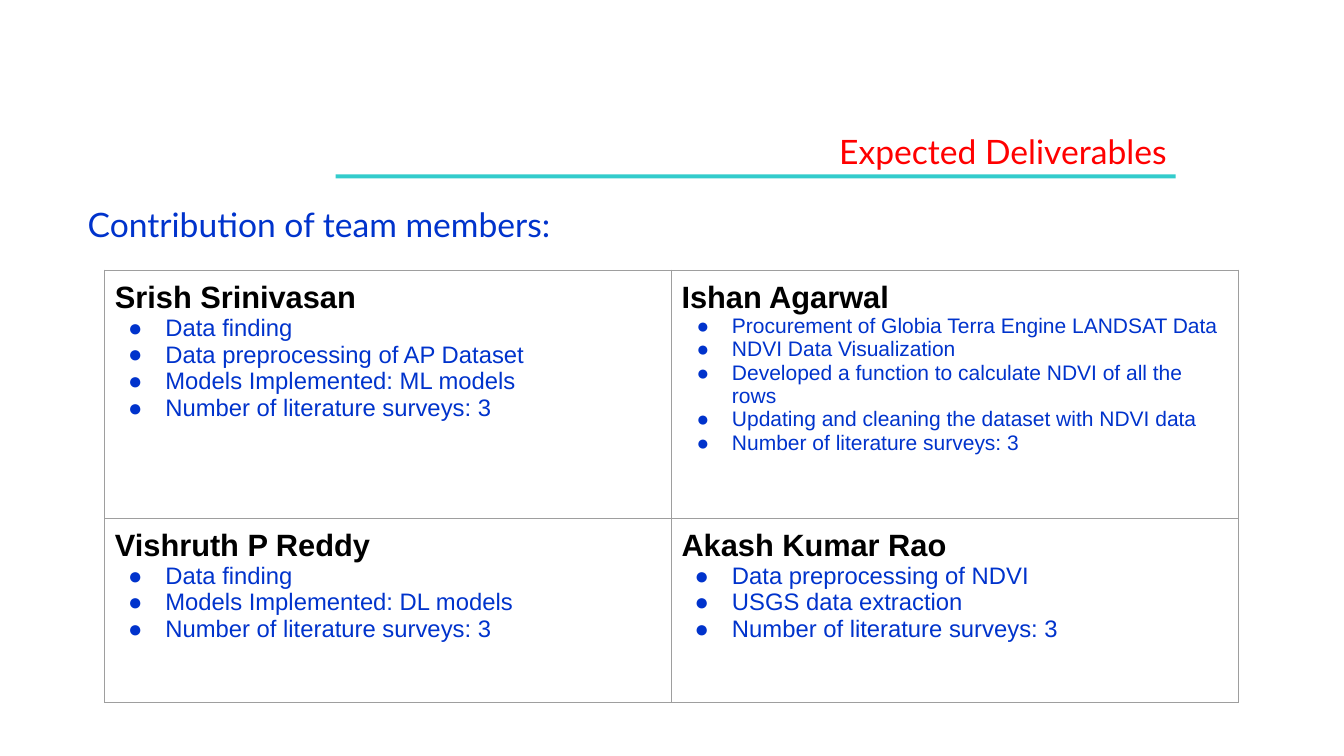
import lxml.etree
import pptx
import pptx.dml.color
import pptx.enum.shapes
import pptx.enum.text
import pptx.oxml.ns
import pptx.util

Inches, Pt = pptx.util.Inches, pptx.util.Pt
RGBColor = pptx.dml.color.RGBColor
PP_ALIGN = pptx.enum.text.PP_ALIGN
qn = pptx.oxml.ns.qn

RED = RGBColor(0xFF, 0x00, 0x00)
BLUE = RGBColor(0x00, 0x33, 0xCC)
TEAL = RGBColor(0x33, 0xCC, 0xCC)
BLACK = RGBColor(0x00, 0x00, 0x00)
GRAY = RGBColor(0x9E, 0x9E, 0x9E)

COL_W = 5.62
ROW_H = [2.46, 1.83]
# name, bullet size in points, bullet hang in inches, contributions
MEMBERS = [
    ("Srish Srinivasan", 17, 0.37, [
        "Data finding",
        "Data preprocessing of AP Dataset",
        "Models Implemented: ML models",
        "Number of literature surveys: 3"]),
    ("Ishan Agarwal", 15, 0.35, [
        "Procurement of Globia Terra Engine LANDSAT Data",
        "NDVI Data Visualization",
        "Developed a function to calculate NDVI of all the rows",
        "Updating and cleaning the dataset with NDVI data",
        "Number of literature surveys: 3"]),
    ("Vishruth P Reddy", 17, 0.37, [
        "Data finding",
        "Models Implemented: DL models",
        "Number of literature surveys: 3"]),
    ("Akash Kumar Rao", 17, 0.37, [
        "Data preprocessing of NDVI",
        "USGS data extraction",
        "Number of literature surveys: 3"]),
]


def add_run(p, text, font, size, color, bold=False):
    r = p.add_run()
    r.text = text
    r.font.name, r.font.size, r.font.bold = font, Pt(size), bold
    r.font.color.rgb = color


def add_colored(parent, tag, color, **attrs):
    """Append an element that holds a solid fill or, for a:buClr, a bare colour."""
    el = lxml.etree.SubElement(parent, qn(tag), **attrs)
    holder = el if tag == "a:buClr" else lxml.etree.SubElement(el, qn("a:solidFill"))
    lxml.etree.SubElement(holder, qn("a:srgbClr"), val=str(color))


prs = pptx.Presentation()
prs.slide_width, prs.slide_height = Inches(13.33), Inches(7.5)
slide = prs.slides.add_slide(prs.slide_layouts[1])

bar = slide.shapes.add_shape(pptx.enum.shapes.MSO_SHAPE.RECTANGLE,
                             Inches(3.33), Inches(1.73), Inches(8.33), Inches(0.04))
bar.shadow.inherit = False
bar.fill.solid()
bar.fill.fore_color.rgb = TEAL
bar.line.fill.background()

title, body = slide.placeholders
for sp, text, color, align, left, top, width in [
        (title, "Expected Deliverables", RED, PP_ALIGN.RIGHT, 3.17, 1.25, 8.5),
        (body, "Contribution of team members:", BLUE, PP_ALIGN.JUSTIFY, 0.77, 1.97, 11.15)]:
    sp.left, sp.top, sp.width, sp.height = map(Inches, (left, top, width, 0.5))
    tf = sp.text_frame
    tf.word_wrap = True
    tf.auto_size = pptx.enum.text.MSO_AUTO_SIZE.NONE
    tf.vertical_anchor = pptx.enum.text.MSO_ANCHOR.TOP
    p = tf.paragraphs[0]
    p.alignment = align
    p.space_before = Pt(0)
    pPr = p._p.get_or_add_pPr()
    pPr.set("marL", "0")
    pPr.set("indent", "0")
    lxml.etree.SubElement(pPr, qn("a:buNone"))
    add_run(p, text, "Lato", 24, color)

table = slide.shapes.add_table(2, 2, Inches(1.04), Inches(2.68),
                               Inches(2 * COL_W), Inches(sum(ROW_H))).table
table.first_row = table.horz_banding = False
for col in table.columns:
    col.width = Inches(COL_W)
for row, height in zip(table.rows, ROW_H):
    row.height = Inches(height)

for cell, (name, size, hang, items) in zip(table.iter_cells(), MEMBERS):
    cell.margin_left = cell.margin_right = Inches(0.1)
    cell.margin_top = cell.margin_bottom = Inches(0.1)
    tcPr = cell._tc.get_or_add_tcPr()
    for side in ("a:lnL", "a:lnR", "a:lnT", "a:lnB"):
        add_colored(tcPr, side, GRAY, w=str(Pt(0.75)))
    cell.fill.background()

    tf = cell.text_frame
    add_run(tf.paragraphs[0], name, "Arial", 22, BLACK, bold=True)
    for item in items:
        p = tf.add_paragraph()
        pPr = p._p.get_or_add_pPr()
        pPr.set("marL", str(Inches(0.5)))
        pPr.set("indent", str(-Inches(hang)))
        add_colored(pPr, "a:buClr", BLUE)
        lxml.etree.SubElement(pPr, qn("a:buFont"), typeface="Arial")
        lxml.etree.SubElement(pPr, qn("a:buChar"), char="●")
        add_run(p, item, "Arial", size, BLUE)

prs.save("out.pptx")
